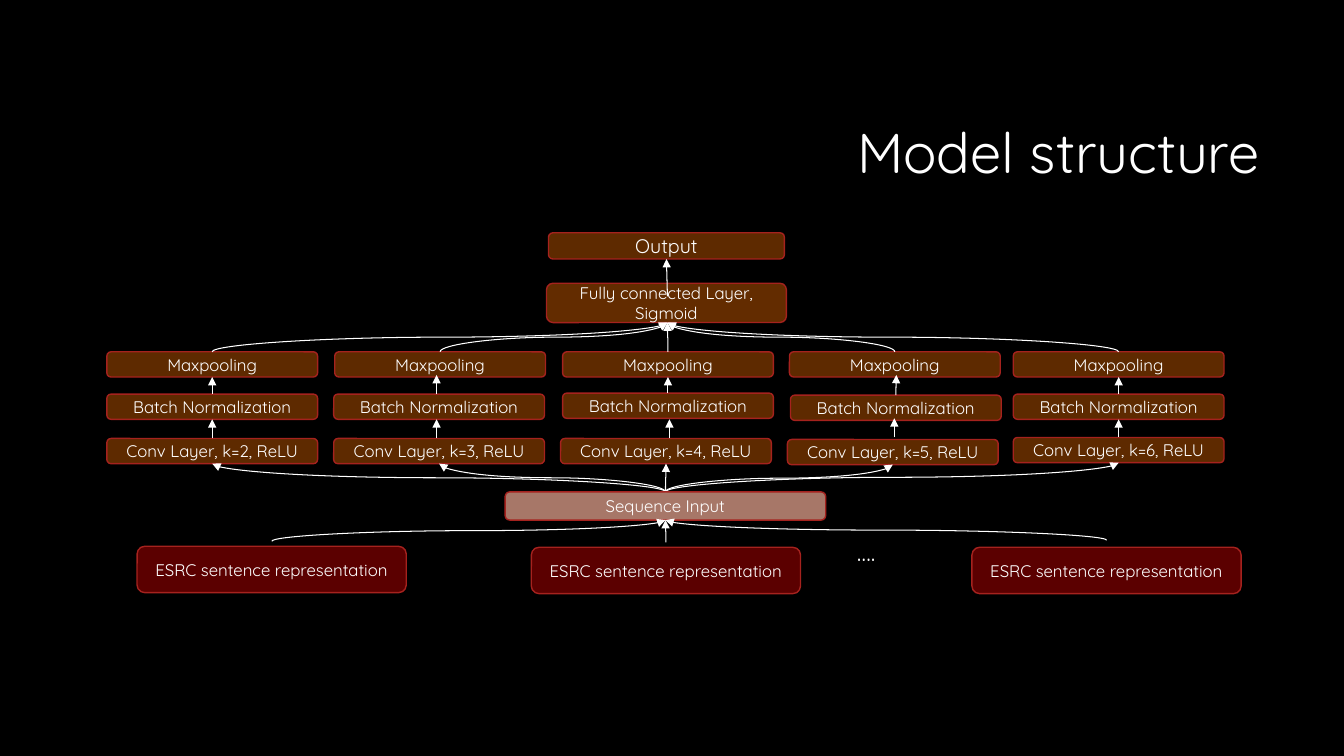
from lxml.etree import SubElement
from pptx import Presentation
from pptx.dml.color import RGBColor
from pptx.enum.shapes import MSO_CONNECTOR, MSO_SHAPE
from pptx.enum.text import MSO_ANCHOR, PP_ALIGN
from pptx.oxml.ns import qn
from pptx.util import Inches, Pt

COLORS = {"background": "000000", "text": "FFFFFF", "border": "A5221E",
          "layer": "D15E01", "sentence": "C00000", "sequence": "D59885"}
FONT = "Quicksand"

prs = Presentation()
prs.slide_width, prs.slide_height = Inches(13.33), Inches(7.5)
slide = prs.slides.add_slide(prs.slide_layouts[5])
slide.background.fill.solid()
slide.background.fill.fore_color.rgb = RGBColor.from_string(COLORS["background"])


def add_box(text, left, top, width, height, color="layer", opacity=45, size=12):
    box = slide.shapes.add_shape(MSO_SHAPE.ROUNDED_RECTANGLE, Inches(left), Inches(top),
                                 Inches(width), Inches(height))
    box.shadow.inherit = False
    box.fill.solid()
    box.fill.fore_color.rgb = RGBColor.from_string(COLORS[color])
    fill_color = box.fill._xPr.find(qn("a:solidFill"))[0]
    SubElement(fill_color, qn("a:alpha")).set("val", str(opacity * 1000))
    box.line.color.rgb = RGBColor.from_string(COLORS["border"])
    box.line.width = Pt(1)
    frame = box.text_frame
    frame.text = text
    frame.word_wrap = True
    frame.vertical_anchor = MSO_ANCHOR.MIDDLE
    paragraph = frame.paragraphs[0]
    paragraph.alignment = PP_ALIGN.CENTER
    font = paragraph.runs[0].font
    font.name, font.size = FONT, Pt(size)
    font.color.rgb = RGBColor.from_string(COLORS["text"])
    return box


def add_arrow(x1, y1, x2, y2, curved=False):
    """Upward arrow; a curved one leaves and arrives vertically."""
    kind, rotation = MSO_CONNECTOR.STRAIGHT, 0
    if curved:
        # A curve runs sideways by default, so it is laid out sideways and turned
        kind = MSO_CONNECTOR.CURVE
        middle_x, middle_y = (x1 + x2) / 2, (y1 + y2) / 2
        side = 1 if x2 >= x1 else -1
        half_rise, half_run = side * (y1 - y2) / 2, abs(x2 - x1) / 2
        x1, x2 = middle_x + half_rise, middle_x - half_rise
        y1, y2 = middle_y + half_run, middle_y - half_run
        rotation = 90 if side > 0 else 270
    arrow = slide.shapes.add_connector(kind, Inches(x1), Inches(y1), Inches(x2), Inches(y2))
    arrow.line.color.rgb = RGBColor.from_string(COLORS["text"])
    arrow.line.width = Pt(0.75)
    properties = arrow._element.spPr
    if rotation:
        properties.find(qn("a:xfrm")).set("rot", str(rotation * 60000))
    SubElement(properties.find(qn("a:ln")), qn("a:tailEnd")).set("type", "triangle")
    SubElement(properties, qn("a:effectLst"))
    return arrow


# Title
title = slide.shapes.title
title.left, title.top = Inches(3.17), Inches(0.84)
title.width, title.height = Inches(9.42), Inches(1.41)
title.text_frame.text = "Model structure"
title.text_frame.vertical_anchor = MSO_ANCHOR.MIDDLE
heading = title.text_frame.paragraphs[0]
heading.alignment = PP_ALIGN.RIGHT
heading.line_spacing = 0.9
heading_font = heading.runs[0].font
heading_font.name, heading_font.size = FONT, Pt(40)
heading_font.color.rgb = RGBColor.from_string(COLORS["text"])

# Output end of the network
fully_connected = add_box("Fully connected Layer, Sigmoid", 5.42, 2.81, 2.38, 0.39, opacity=48)
output = add_box("Output", 5.44, 2.31, 2.34, 0.26, size=14)
add_arrow(6.62, 2.94, 6.62, 2.57).end_connect(output, 2)

# Parallel branches: (left, top) of each layer, then (x, start y) of the arrows between them
LAYER_WIDTH, LAYER_HEIGHT, ARROW_LENGTH = 2.09, 0.25, 0.19
branches = {
    2: ([(1.06, 4.35), (1.06, 3.91), (1.06, 3.49)], [(2.1, 4.35), (2.1, 3.91)]),
    3: ([(3.31, 4.35), (3.31, 3.91), (3.32, 3.49)], [(4.33, 4.35), (4.33, 3.91)]),
    4: ([(5.56, 4.35), (5.58, 3.9), (5.58, 3.49)], [(6.64, 4.35), (6.62, 3.93)]),
    5: ([(7.81, 4.36), (7.84, 3.92), (7.83, 3.49)], [(8.87, 4.34), (8.89, 3.91)]),
    6: ([(10.05, 4.34), (10.05, 3.91), (10.05, 3.49)], [(11.09, 4.34), (11.09, 3.9)]),
}
for kernel, (places, links) in branches.items():
    names = [f"Conv Layer, k={kernel}, ReLU", "Batch Normalization", "Maxpooling"]
    layers = [add_box(name, left, top, LAYER_WIDTH, LAYER_HEIGHT)
              for name, (left, top) in zip(names, places)]
    centers = [left + LAYER_WIDTH / 2 for left, top in places]
    for step, (x, y) in enumerate(links):
        link = add_arrow(x, y, x, y - ARROW_LENGTH)
        if abs(centers[step] - x) < 0.01:
            link.begin_connect(layers[step], 0)
        if abs(centers[step + 1] - x) < 0.01:
            link.end_connect(layers[step + 1], 2)
    conv_bottom = places[0][1] + LAYER_HEIGHT
    add_arrow(centers[2], places[2][1], 6.62, 3.2, curved=True)
    add_arrow(6.6, 4.88, centers[0], conv_bottom, curved=True)

# Sequence input
add_box("Sequence Input", 5.01, 4.88, 3.18, 0.28, color="sequence", opacity=79)

# Sentence representations
for left, top, arrow_y in [(1.36, 5.42, 5.37), (5.27, 5.43, 5.38), (9.64, 5.43, 5.36)]:
    add_box("ESRC sentence representation", left, top, 2.67, 0.46, color="sentence", opacity=48)
    add_arrow(left + 2.67 / 2, arrow_y, 6.6, 5.16, curved=True)

# Ellipsis for further sentences
ellipsis = slide.shapes.add_textbox(Inches(8.4), Inches(5.27), Inches(0.69), Inches(0.39))
ellipsis.text_frame.word_wrap = True
ellipsis.text_frame.text = "…."
ellipsis_font = ellipsis.text_frame.paragraphs[0].runs[0].font
ellipsis_font.name, ellipsis_font.size = FONT, Pt(18)
ellipsis_font.color.rgb = RGBColor.from_string(COLORS["text"])

prs.save("out.pptx")
